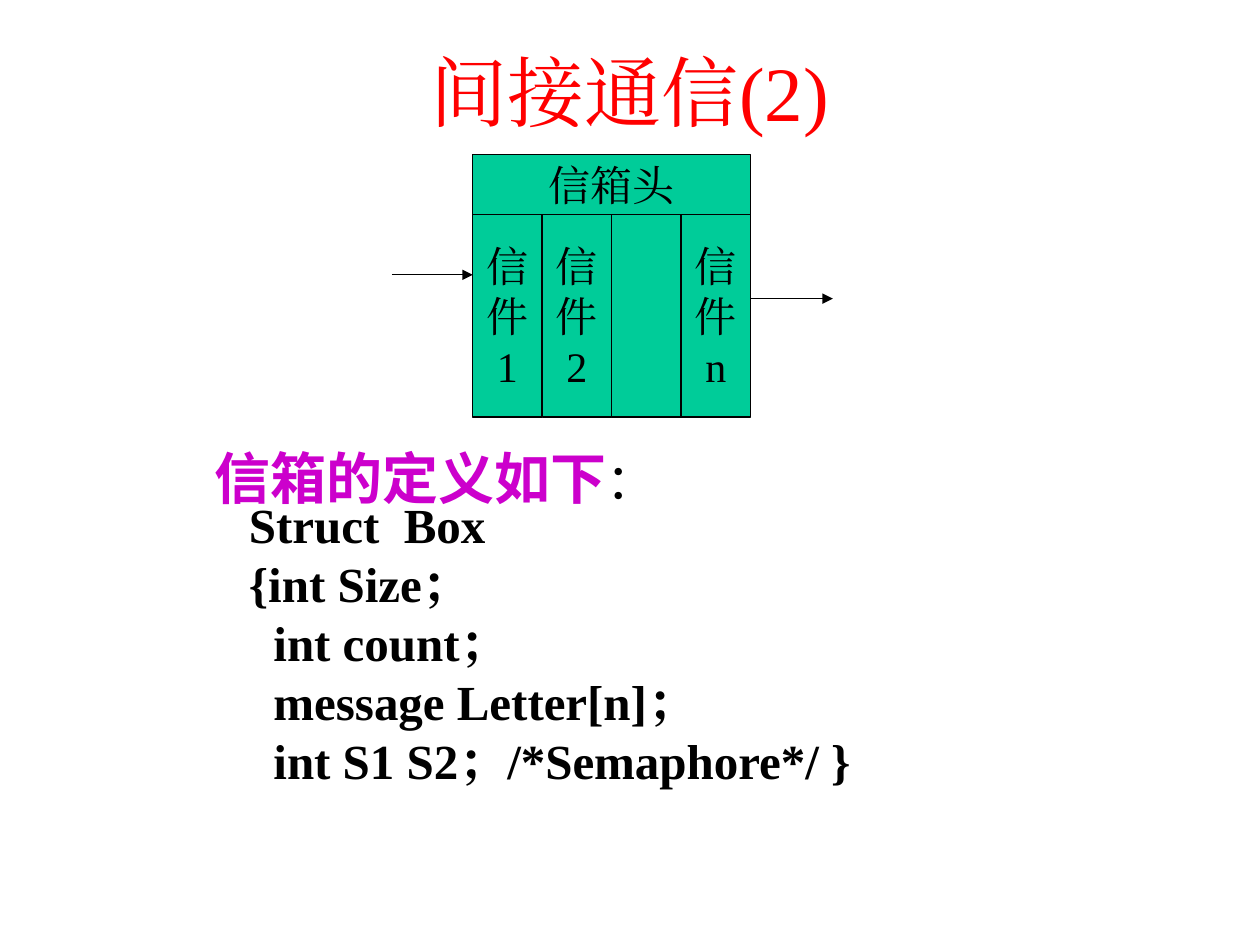
from dataclasses import dataclass

from lxml.etree import SubElement
from pptx import Presentation
from pptx.dml.color import RGBColor
from pptx.enum.shapes import MSO_CONNECTOR, MSO_SHAPE
from pptx.enum.text import MSO_ANCHOR, MSO_AUTO_SIZE, PP_ALIGN
from pptx.oxml.ns import qn
from pptx.slide import Slide
from pptx.text.text import TextFrame, _Paragraph as Paragraph
from pptx.util import Cm, Pt

BLACK = RGBColor(0x00, 0x00, 0x00)
RED = RGBColor(0xFF, 0x00, 0x00)
GREEN = RGBColor(0x00, 0xCC, 0x99)
PURPLE = RGBColor(0xCC, 0x00, 0xCC)
SERIF = "Times New Roman"
SANS = "Noto Sans CJK SC"
LINE_RATIO = 1.2
LINE_WIDTH = Pt(0.75)

# Mailbox grid, in centimetres
BOX_LEFT, BOX_TOP = 9.53, 3.12
HEAD_HEIGHT, LETTER_HEIGHT, LETTER_WIDTH = 1.2, 4.09, 1.4
LETTERS = (("信", "件", "1"), ("信", "件", "2"), (), ("信", "件", "n"))
BOX_WIDTH = LETTER_WIDTH * len(LETTERS)

CODE_LINES = (
    "Struct  Box",
    "{int Size；",
    "  int count；",
    "  message Letter[n]；",
    "  int S1 S2；/*Semaphore*/ }",
)


@dataclass(frozen=True)
class Style:
    size: float
    color: RGBColor = BLACK
    font: str = SERIF
    bold: bool = False


@dataclass(frozen=True)
class Cell:
    left: float
    top: float
    width: float
    height: float
    lines: tuple[str, ...]


@dataclass(frozen=True)
class Arrow:
    start: float
    end: float
    y: float


TITLE = Style(44, RED)
LABEL = Style(24)
HEADING = Style(32, PURPLE, SANS, True)
COLON = Style(28, font=SANS)
CODE = Style(28, bold=True)


def add_run(paragraph: Paragraph, text: str, style: Style) -> None:
    run = paragraph.add_run()
    run.text = text
    font = run.font
    font.size, font.bold = Pt(style.size), style.bold
    font.color.rgb = style.color
    font.name = style.font
    SubElement(font._element, qn("a:ea"), typeface=style.font)


def add_lines(frame: TextFrame, lines: tuple[str, ...], style: Style,
              align: PP_ALIGN) -> None:
    for index, line in enumerate(lines):
        paragraph = frame.add_paragraph() if index else frame.paragraphs[0]
        paragraph.alignment = align
        paragraph.line_spacing = Pt(style.size * LINE_RATIO)
        add_run(paragraph, line, style)


def add_cell(slide: Slide, cell: Cell) -> None:
    shape = slide.shapes.add_shape(
        MSO_SHAPE.RECTANGLE, Cm(cell.left), Cm(cell.top), Cm(cell.width), Cm(cell.height))
    shape.shadow.inherit = False
    shape.fill.solid()
    shape.fill.fore_color.rgb = GREEN
    shape.line.color.rgb = BLACK
    shape.line.width = LINE_WIDTH
    frame = shape.text_frame
    frame.word_wrap = False
    frame.vertical_anchor = MSO_ANCHOR.MIDDLE
    add_lines(frame, cell.lines, LABEL, PP_ALIGN.CENTER)


def add_arrow(slide: Slide, arrow: Arrow) -> None:
    connector = slide.shapes.add_connector(
        MSO_CONNECTOR.STRAIGHT, Cm(arrow.start), Cm(arrow.y), Cm(arrow.end), Cm(arrow.y))
    connector.line.color.rgb = BLACK
    connector.line.width = LINE_WIDTH
    SubElement(connector.line._get_or_add_ln(), qn("a:tailEnd"),
               type="triangle", w="med", len="med")
    SubElement(connector._element.spPr, qn("a:effectLst"))


def add_text_area(slide: Slide, left: float, top: float, width: float,
                  height: float, indent: float) -> TextFrame:
    frame = slide.shapes.add_textbox(Cm(left), Cm(top), Cm(width), Cm(height)).text_frame
    frame.word_wrap = True
    frame.margin_left = Cm(indent)
    frame.margin_top = frame.margin_right = frame.margin_bottom = 0
    return frame


def add_title(slide: Slide) -> None:
    title = slide.shapes.title
    title.left, title.top, title.width, title.height = Cm(1.27), Cm(0.76), Cm(22.86), Cm(3.18)
    frame = title.text_frame
    frame.auto_size = MSO_AUTO_SIZE.NONE
    frame.vertical_anchor = MSO_ANCHOR.TOP
    add_lines(frame, ("间接通信(2)",), TITLE, PP_ALIGN.CENTER)


def add_mailbox(slide: Slide) -> None:
    letters_top = BOX_TOP + HEAD_HEIGHT
    for index, lines in enumerate(LETTERS):
        add_cell(slide, Cell(BOX_LEFT + index * LETTER_WIDTH, letters_top,
                             LETTER_WIDTH, LETTER_HEIGHT, lines))
    add_cell(slide, Cell(BOX_LEFT, BOX_TOP, BOX_WIDTH, HEAD_HEIGHT, ("信箱头",)))
    box_right = BOX_LEFT + BOX_WIDTH
    for arrow in (Arrow(7.9, BOX_LEFT, 5.54), Arrow(box_right, 16.79, 6.02)):
        add_arrow(slide, arrow)


def add_definition(slide: Slide) -> None:
    heading = add_text_area(slide, 4.09, 8.95, 9.96, 1.35, 0.23)
    add_lines(heading, ("信箱的定义如下",), HEADING, PP_ALIGN.JUSTIFY)
    add_run(heading.paragraphs[0], "：", COLON)
    code = add_text_area(slide, 4.52, 9.98, 13.34, 5.94, 0.5)
    add_lines(code, CODE_LINES, CODE, PP_ALIGN.JUSTIFY)


def main() -> None:
    deck = Presentation()
    deck.slide_width, deck.slide_height = Cm(25.4), Cm(19.05)
    slide = deck.slides.add_slide(deck.slide_layouts[5])
    add_title(slide)
    add_mailbox(slide)
    add_definition(slide)
    deck.save("out.pptx")


if __name__ == "__main__":
    main()
